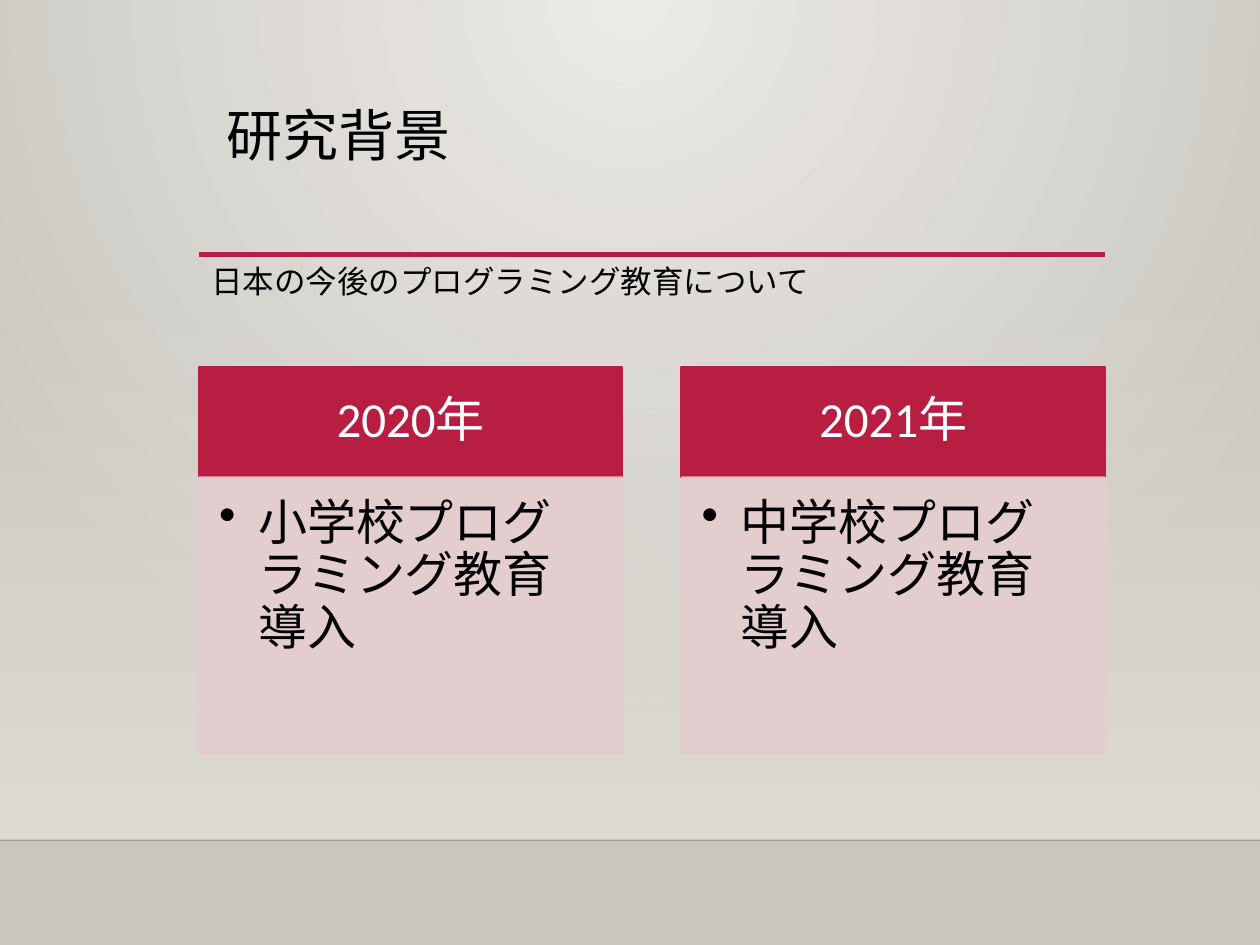
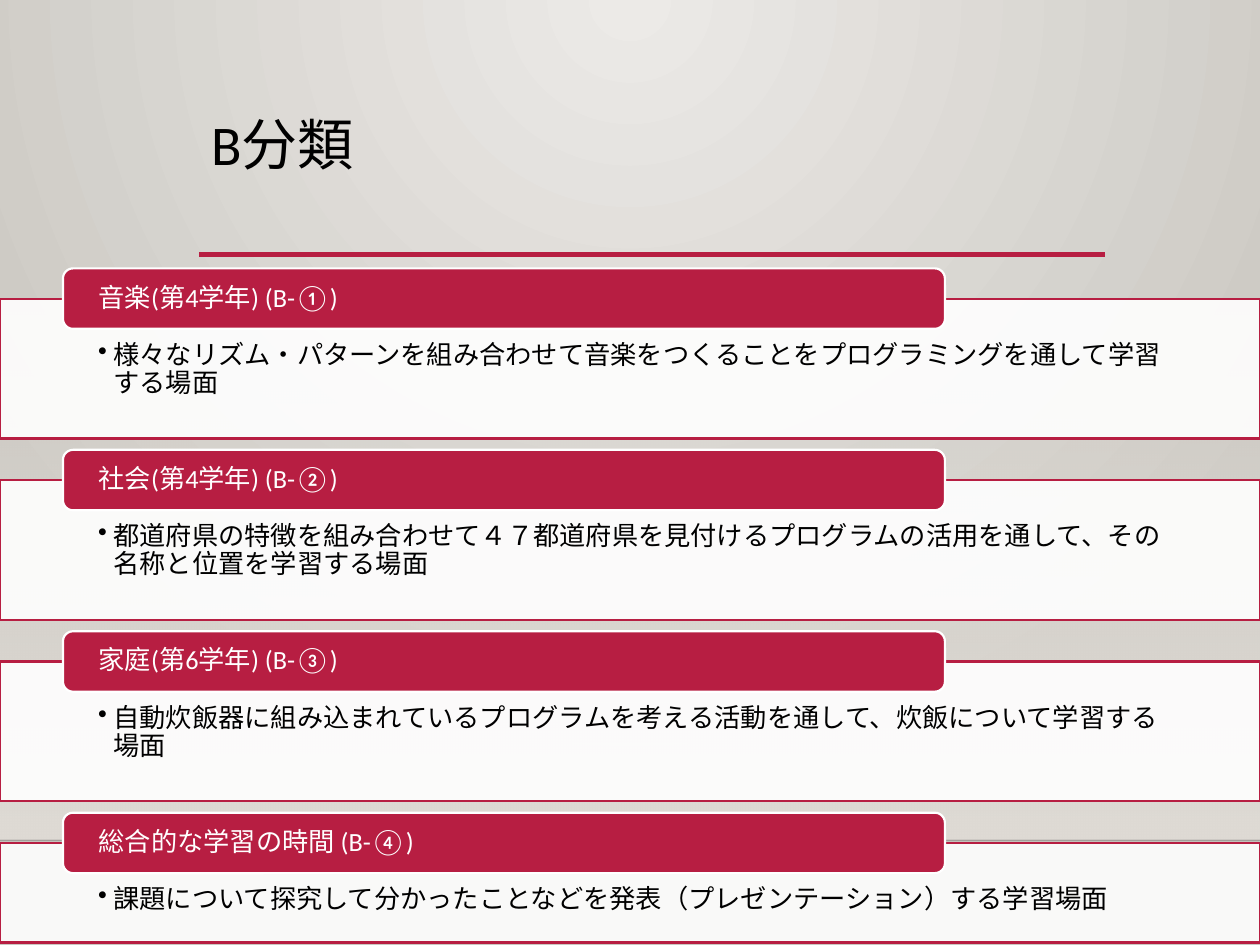
from dataclasses import dataclass

from lxml.etree import SubElement
from pptx import Presentation
from pptx.dml.color import RGBColor
from pptx.enum.shapes import MSO_CONNECTOR as Connector, MSO_SHAPE as Shape
from pptx.enum.text import MSO_ANCHOR as Anchor, PP_ALIGN as Align
from pptx.oxml.ns import qn
from pptx.util import Inches, Pt


@dataclass(frozen=True)
class Theme:
    font: str = "Calibri"
    accent: str = "B71E42"
    tint: str = "E6CDCF"
    white: str = "FFFFFF"
    black: str = "000000"
    floor_line: str = "000001"
    glow: str = "ECEAE7"
    wall: str = "CAC7C1"
    veil: str = "DFDBD5"
    title_size: int = 32
    card_size: int = 28
    note_size: int = 18
    list_size: int = 15
    border: float = 1.25


COLUMN_LEFT, COLUMN_RIGHT = 1.58, 8.77
DEFAULT_INSETS = (0.1, 0.05, 0.1, 0.05)

SCHEDULE = [
    ("2020年", "小学校プログラミング教育導入"),
    ("2021年", "中学校プログラミング教育導入"),
]
SUBJECTS = [
    ("音楽(第4学年) (B-①)",
     "様々なリズム・パターンを組み合わせて音楽をつくることをプログラミングを通して学習する場面"),
    ("社会(第4学年) (B-②)",
     "都道府県の特徴を組み合わせて４７都道府県を見付けるプログラムの活用を通して、その名称と位置を学習する場面"),
    ("家庭(第6学年) (B-③)",
     "自動炊飯器に組み込まれているプログラムを考える活動を通して、炊飯について学習する場面"),
    ("総合的な学習の時間 (B-④)",
     "課題について探究して分かったことなどを発表（プレゼンテーション）する学習場面"),
]


class Builder:
    def __init__(self, theme):
        self.theme = theme
        self.deck = Presentation()
        self.deck.slide_width, self.deck.slide_height = Inches(10), Inches(7.5)
        self.page = None

    def new_page(self, title, left, top):
        theme = self.theme
        self.page = self.deck.slides.add_slide(self.deck.slide_layouts[6])
        self.background()
        self.veil()
        self.line(0, 10, 6.67, theme.floor_line, 1, 20)
        self.line(COLUMN_LEFT, COLUMN_RIGHT, 2.02, theme.accent, 2.5)
        self.text(left, top, 7.19, 1.15, title, theme.title_size, spacing=0.9)

    def gradient(self, fill, start, end):
        fill.gradient()
        for stop, color in zip(fill.gradient_stops, (start, end)):
            stop.color.rgb = RGBColor.from_string(color)

    def background(self):
        self.gradient(self.page.background.fill, self.theme.glow, self.theme.wall)
        gradient = self.page.element.find(".//" + qn("a:gradFill"))
        gradient.remove(gradient.find(qn("a:lin")))
        circle = SubElement(gradient, qn("a:path"), path="circle")
        SubElement(circle, qn("a:fillToRect"), l="43000", t="0", r="43000", b="100000")

    def veil(self):
        panel = self.page.shapes.add_shape(
            Shape.RECTANGLE, 0, Inches(2.2), Inches(10), Inches(4.46))
        panel.shadow.inherit = False
        panel.line.fill.background()
        self.gradient(panel.fill, self.theme.veil, self.theme.veil)
        panel.fill.gradient_angle = 270
        self.fade_fill(panel, 0)

    def fade_fill(self, item, percent):
        first_color = next(item.element.spPr.iter(qn("a:srgbClr")))
        SubElement(first_color, qn("a:alpha"), val=str(percent * 1000))

    def fade_all(self, item, percent):
        for color in item.element.spPr.iter(qn("a:srgbClr")):
            SubElement(color, qn("a:alpha"), val=str(percent * 1000))

    def line(self, left, right, top, color, width, opacity=100):
        rule = self.page.shapes.add_connector(
            Connector.STRAIGHT, Inches(left), Inches(top), Inches(right), Inches(top))
        rule.line.color.rgb = RGBColor.from_string(color)
        rule.line.width = Pt(width)
        self.fade_all(rule, opacity)
        SubElement(rule.element.spPr, qn("a:effectLst"))

    def text(self, left, top, width, height, words, size, **style):
        box = self.page.shapes.add_textbox(
            Inches(left), Inches(top), Inches(width), Inches(height))
        self.put_words(box, words, size, **style)

    def block(self, left, top, width, height, fill, border, kind=Shape.RECTANGLE):
        box = self.page.shapes.add_shape(
            kind, Inches(left), Inches(top), Inches(width), Inches(height))
        box.shadow.inherit = False
        box.fill.solid()
        box.fill.fore_color.rgb = RGBColor.from_string(fill)
        box.line.color.rgb = RGBColor.from_string(border)
        box.line.width = Pt(self.theme.border)
        return box

    def put_words(self, box, words, size, color=None, insets=DEFAULT_INSETS,
                  anchor=Anchor.TOP, align=Align.LEFT, spacing=1.0, bullet_indent=0):
        frame = box.text_frame
        frame.word_wrap = True
        frame.vertical_anchor = anchor
        (frame.margin_left, frame.margin_top,
         frame.margin_right, frame.margin_bottom) = map(Inches, insets)
        para = frame.paragraphs[0]
        para.text = words
        para.alignment = align
        para.line_spacing = spacing
        para.font.name = self.theme.font
        para.font.size = Pt(size)
        para.font.color.rgb = RGBColor.from_string(color or self.theme.black)
        if bullet_indent:
            indent = Inches(bullet_indent)
            properties = para._p.get_or_add_pPr()
            properties.set("marL", str(indent))
            properties.set("indent", str(-indent))
            bullet = properties.makeelement(qn("a:buChar"), {"char": "•"})
            properties.find(qn("a:defRPr")).addprevious(bullet)

    def year_card(self, left, year, plan):
        theme, width = self.theme, 3.36
        header = self.block(left, 2.91, width, 0.88, theme.accent, theme.accent)
        self.put_words(header, year, theme.card_size, theme.white,
                       (0.22, 0.12, 0.22, 0.12), Anchor.MIDDLE, Align.CENTER, 0.9)
        body = self.block(left, 3.79, width, 2.19, theme.tint, theme.tint)
        self.fade_all(body, 90)
        self.put_words(body, plan, theme.card_size, insets=(0.16, 0.16, 0.22, 0.24),
                       spacing=0.9, bullet_indent=0.31)

    def subject_panel(self, top, height, subject, scene):
        theme = self.theme
        panel = self.block(0, top, 10, height, theme.white, theme.accent)
        self.fade_fill(panel, 90)
        self.put_words(panel, scene, theme.list_size, insets=(0.78, 0.34, 0.78, 0.12),
                       spacing=0.9, bullet_indent=0.12)
        label = self.block(0.5, top - 0.24, 7, 0.48, theme.accent, theme.white,
                           Shape.ROUNDED_RECTANGLE)
        self.put_words(label, subject, theme.list_size, theme.white, (0.26, 0, 0.26, 0),
                       Anchor.MIDDLE, spacing=0.9)


def main():
    builder = Builder(Theme())

    builder.new_page("研究背景", 1.7, 0.81)
    for index, (year, plan) in enumerate(SCHEDULE):
        builder.year_card(COLUMN_LEFT + 3.83 * index, year, plan)
    builder.text(COLUMN_LEFT, 2.03, 5.27, 0.4,
                 "日本の今後のプログラミング教育について", builder.theme.note_size)

    builder.new_page("B分類", COLUMN_LEFT, 0.88)
    for index, (subject, scene) in enumerate(SUBJECTS):
        height = 0.79 if index == len(SUBJECTS) - 1 else 1.11
        builder.subject_panel(2.37 + 1.44 * index, height, subject, scene)

    builder.deck.save("out.pptx")


if __name__ == "__main__":
    main()
